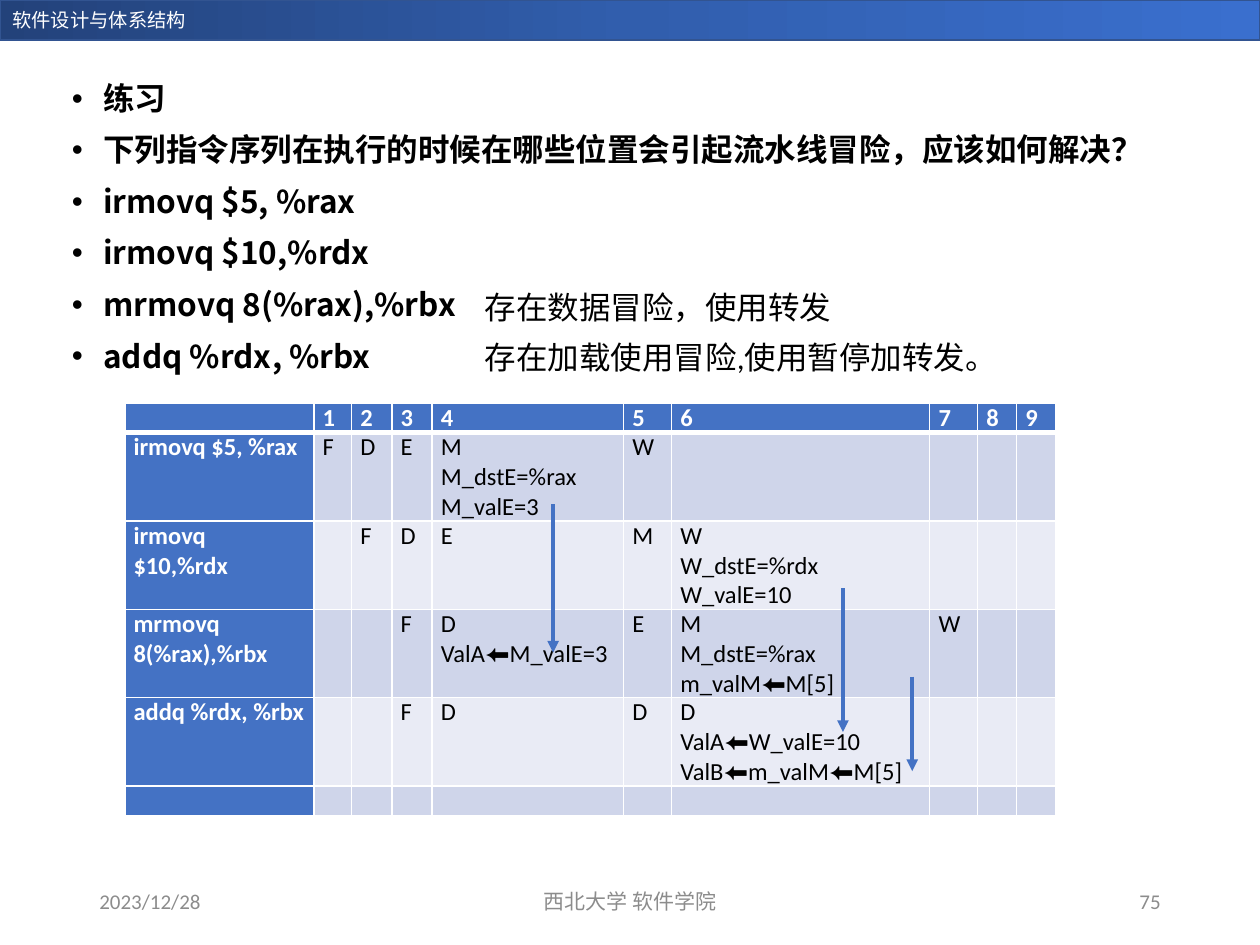
from copy import deepcopy

from pptx import Presentation
from pptx.dml.color import RGBColor
from pptx.enum.shapes import MSO_CONNECTOR as Connector, MSO_SHAPE as Shape
from pptx.enum.text import MSO_ANCHOR as Anchor, MSO_AUTO_SIZE as AutoSize, PP_ALIGN as Align
from pptx.oxml.ns import qn
from pptx.oxml.xmlchemy import OxmlElement
from pptx.util import Inches, Pt

BLACK = RGBColor(0x00, 0x00, 0x00)
WHITE = RGBColor(0xFF, 0xFF, 0xFF)
GRAY = RGBColor(0x8C, 0x8C, 0x8C)
BLUE = RGBColor(0x44, 0x72, 0xC4)
BAND_DARK = RGBColor(0xCF, 0xD5, 0xEA)
BAND_LIGHT = RGBColor(0xE9, 0xEB, 0xF5)
BANNER_LINE = RGBColor(0x32, 0x54, 0x91)
BANNER_STOPS = [
    RGBColor(0x23, 0x42, 0x7A),
    RGBColor(0x31, 0x5E, 0xAD),
    RGBColor(0x3A, 0x6F, 0xCE),
]
LATIN = "Calibri"
CJK = "Noto Sans CJK SC"

EXERCISE = [
    "练习",
    "下列指令序列在执行的时候在哪些位置会引起流水线冒险，应该如何解决？",
    "irmovq $5, %rax",
    "irmovq $10,%rdx",
    "mrmovq 8(%rax),%rbx",
    "addq %rdx, %rbx",
]
COLUMN_WIDTHS = [1.5, 0.3, 0.32, 0.32, 1.52, 0.38, 2.05, 0.38, 0.31, 0.31]
ROW_HEIGHTS = [0.21, 0.63, 0.63, 0.63, 0.63, 0.21]
PIPELINE = [
    ["", *"123456789"],
    ["irmovq $5, %rax", "F", "D", "E", "M\nM_dstE=%rax\nM_valE=3", "W", "", "", "", ""],
    ["irmovq $10,%rdx", "", "F", "D", "E", "M", "W\nW_dstE=%rdx\nW_valE=10", "", "", ""],
    ["mrmovq 8(%rax),%rbx", "", "", "F", "D\nValA⬅M_valE=3", "E",
     "M\nM_dstE=%rax\nm_valM⬅M[5]", "W", "", ""],
    ["addq %rdx, %rbx", "", "", "F", "D", "D",
     "D\nValA⬅W_valE=10\nValB⬅m_valM⬅M[5]", "", "", ""],
    [""] * 10,
]
FORWARDING = [(4.39, 4, 5.18), (6.69, 4.67, 5.81), (7.24, 5.37, 6.12)]


def add_child(parent, tag, **attributes):
    child = OxmlElement(tag)
    for name, value in attributes.items():
        child.set(name, value)
    parent.append(child)
    return child


def write_text(frame, text, size=18, color=BLACK, font=LATIN, bold=False,
               align=Align.LEFT, bullet=False):
    for index, line in enumerate(text.split("\n")):
        paragraph = frame.paragraphs[0] if index == 0 else frame.add_paragraph()
        paragraph.alignment = align
        if bullet:
            paragraph.line_spacing = 0.9
            paragraph.space_before = Pt(10 if index else 0)
            properties = paragraph._p.get_or_add_pPr()
            properties.set("marL", str(Inches(0.25)))
            properties.set("indent", str(-Inches(0.25)))
            add_child(properties, "a:buFont", typeface="Arial")
            add_child(properties, "a:buChar", char="•")
        if not line:
            add_child(paragraph._p, "a:endParaRPr", sz=str(size * 100))
            continue
        run = paragraph.add_run()
        run.text = line
        run.font.size = Pt(size)
        run.font.bold = bold
        run.font.color.rgb = color
        run.font.name = font
        add_child(run._r.get_or_add_rPr(), "a:ea", typeface=CJK)


def add_label(slide, text, left, top, width, height, anchor=Anchor.TOP, **text_format):
    box = slide.shapes.add_textbox(Inches(left), Inches(top), Inches(width), Inches(height))
    box.text_frame.word_wrap = True
    box.text_frame.vertical_anchor = anchor
    write_text(box.text_frame, text, **text_format)


def add_banner(slide, width):
    banner = slide.shapes.add_shape(Shape.RECTANGLE, 0, 0, width, Inches(0.32))
    banner.shadow.inherit = False
    banner.fill.gradient()
    banner.fill.gradient_angle = 0
    first = banner._element.find(".//" + qn("a:gs"))
    first.addnext(deepcopy(first))
    for index, (stop, color) in enumerate(zip(banner.fill.gradient_stops, BANNER_STOPS)):
        stop.position = index / 2
        stop.color.rgb = color
    banner.line.color.rgb = BANNER_LINE
    banner.line.width = Pt(1)
    add_label(slide, "软件设计与体系结构", 0, 0.02, 2.49, 0.29, size=11, color=WHITE)


def fill_body(slide):
    body = slide.placeholders[1]
    body.left, body.top = Inches(0.47), Inches(0.61)
    body.width, body.height = Inches(8.62), Inches(4.76)
    body.text_frame.auto_size = AutoSize.NONE
    write_text(body.text_frame, "\n".join(EXERCISE), font=CJK, bold=True, bullet=True)


def set_border(cell, side, points):
    border = add_child(cell._tc.get_or_add_tcPr(), f"a:ln{side}", w=str(Pt(points)))
    add_child(add_child(border, "a:solidFill"), "a:srgbClr", val=str(WHITE))


def format_cell(cell, text, row, column):
    heading = row == 0 or column == 0
    cell.margin_left = cell.margin_right = Inches(0.07)
    cell.margin_top = cell.margin_bottom = 0
    for side in "LRTB":
        thick = (row, side) in ((0, "B"), (1, "T"))
        set_border(cell, side, 3 if thick else 1)
    cell.fill.solid()
    cell.fill.fore_color.rgb = BLUE if heading else BAND_DARK if row % 2 else BAND_LIGHT
    write_text(cell.text_frame, text, size=14, color=WHITE if heading else BLACK,
               bold=heading, align=Align.JUSTIFY)


def add_pipeline_table(slide):
    frame = slide.shapes.add_table(
        len(ROW_HEIGHTS), len(COLUMN_WIDTHS), Inches(0.99), Inches(3.2),
        Inches(sum(COLUMN_WIDTHS)), Inches(sum(ROW_HEIGHTS)))
    table = frame.table
    for column, width in zip(table.columns, COLUMN_WIDTHS):
        column.width = Inches(width)
    for row, height in zip(table.rows, ROW_HEIGHTS):
        row.height = Inches(height)
    for row, texts in enumerate(PIPELINE):
        for column, text in enumerate(texts):
            format_cell(table.cell(row, column), text, row, column)


def add_arrow(slide, x, top, bottom):
    arrow = slide.shapes.add_connector(
        Connector.STRAIGHT, Inches(x), Inches(top), Inches(x), Inches(bottom))
    arrow.line.color.rgb = BLUE
    arrow.line.width = Pt(2.25)
    add_child(arrow.line._get_or_add_ln(), "a:tailEnd", type="triangle")
    add_child(arrow._element.spPr, "a:effectLst")


def add_footer(slide):
    for text, left, width, align in (
        ("2023/12/28", 0.69, 2.25, Align.LEFT),
        ("西北大学 软件学院", 3.31, 3.38, Align.CENTER),
        ("75", 7.06, 2.25, Align.RIGHT),
    ):
        add_label(slide, text, left, 6.95, width, 0.4, anchor=Anchor.MIDDLE,
                  size=12, color=GRAY, align=align)


def main():
    presentation = Presentation()
    presentation.slide_width, presentation.slide_height = Inches(10), Inches(7.5)
    slide = presentation.slides.add_slide(presentation.slide_layouts[1])
    title = slide.shapes.title._element
    title.getparent().remove(title)
    add_banner(slide, presentation.slide_width)
    fill_body(slide)
    add_footer(slide)
    add_label(slide, "存在数据冒险，使用转发", 3.75, 2.24, 5.01, 0.4)
    add_label(slide, "存在加载使用冒险,使用暂停加转发。", 3.75, 2.63, 5.01, 0.4)
    add_pipeline_table(slide)
    for x, top, bottom in FORWARDING:
        add_arrow(slide, x, top, bottom)
    presentation.save("out.pptx")


if __name__ == "__main__":
    main()
